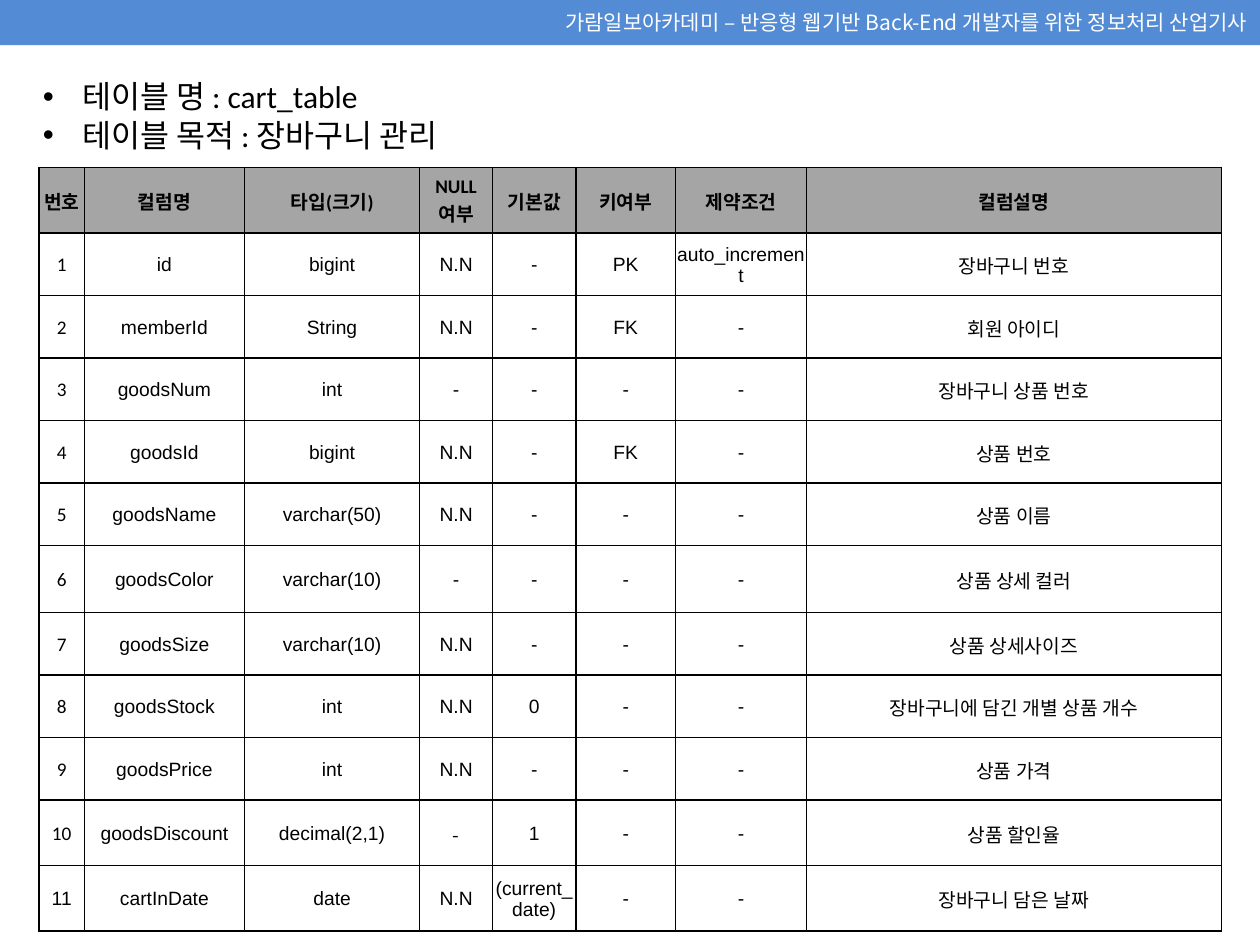
"""Build the column specification slide for cart_table."""
from dataclasses import astuple, dataclass

from lxml.etree import SubElement
from pptx import Presentation
from pptx.dml.color import RGBColor
from pptx.enum.text import MSO_ANCHOR as Anchor, MSO_AUTO_SIZE as AutoSize, PP_ALIGN as Align
from pptx.oxml.ns import qn
from pptx.util import Cm, Pt

LATIN, CELL, KOREAN = "Calibri", "Arial", "Noto Sans CJK KR"
BLACK, WHITE, BLUE, GREY = "000000", "FFFFFF", "538CD5", "A5A5A5"
COLUMN_WIDTHS = (0.91, 3.23, 3.53, 1.47, 1.68, 2.01, 2.64, 8.36)
ROW_HEIGHT = 1.26
SPECIAL_HEIGHTS = {0: 1.32, 6: 1.35, 10: 1.32, 11: 1.32}
SPECIAL_FONTS = {(10, 3): KOREAN, (11, 0): CELL}


@dataclass
class ColumnSpec:
    number: str
    name: str
    type_size: str
    nullable: str
    default: str
    key: str
    constraint: str
    description: str


HEADER = ColumnSpec("번호", "컬럼명", "타입(크기)", "NULL 여부", "기본값", "키여부", "제약조건", "컬럼설명")
COLUMN_SPECS = [
    ColumnSpec("1", "id", "bigint", "N.N", "-", "PK", "auto_increment", "장바구니 번호"),
    ColumnSpec("2", "memberId", "String", "N.N", "-", "FK", "-", "회원 아이디"),
    ColumnSpec("3", "goodsNum", "int", "-", "-", "-", "-", "장바구니 상품 번호"),
    ColumnSpec("4", "goodsId", "bigint", "N.N", "-", "FK", "-", "상품 번호"),
    ColumnSpec("5", "goodsName", "varchar(50)", "N.N", "-", "-", "-", "상품 이름"),
    ColumnSpec("6", "goodsColor", "varchar(10)", "-", "-", "-", "-", "상품 상세 컬러"),
    ColumnSpec("7", "goodsSize", "varchar(10)", "N.N", "-", "-", "-", "상품 상세사이즈"),
    ColumnSpec("8", "goodsStock", "int", "N.N", "0", "-", "-", "장바구니에 담긴 개별 상품 개수"),
    ColumnSpec("9", "goodsPrice", "int", "N.N", "-", "-", "-", "상품 가격"),
    ColumnSpec("10", "goodsDiscount", "decimal(2,1)", "-", "1", "-", "-", "상품 할인율"),
    ColumnSpec("11", "cartInDate", "date", "N.N", "(current_date)", "-", "-", "장바구니 담은 날짜"),
]


def color(hex_code: str) -> RGBColor:
    return RGBColor.from_string(hex_code)


def format_runs(paragraph, size: float, font: str, hex_code: str, bold: bool = False) -> None:
    for run in paragraph.runs:
        run.font.size = Pt(size)
        run.font.name = font
        run.font.bold = bold
        run.font.color.rgb = color(hex_code)
        east_asian = SubElement(run.font._element, qn("a:ea"))
        east_asian.set("typeface", KOREAN)


def place(shape, left: float, top: float, width: float, height: float) -> None:
    shape.left, shape.top, shape.width, shape.height = map(Cm, (left, top, width, height))


def add_banner(banner) -> None:
    place(banner, 0, 0, 25.4, 0.91)
    banner.fill.solid()
    banner.fill.fore_color.rgb = color(BLUE)
    frame = banner.text_frame
    frame.text = "가람일보아카데미 – 반응형 웹기반 Back-End 개발자를 위한 정보처리 산업기사"
    frame.auto_size = AutoSize.NONE
    frame.vertical_anchor = Anchor.MIDDLE
    frame.paragraphs[0].alignment = Align.RIGHT
    format_runs(frame.paragraphs[0], 12, KOREAN, WHITE)


def add_summary(summary) -> None:
    place(summary, 0.61, 1.42, 24.71, 1.8)
    frame = summary.text_frame
    frame.text = "테이블 명 : cart_table\n테이블 목적 : 장바구니 관리"
    frame.auto_size = AutoSize.NONE
    for paragraph in frame.paragraphs:
        paragraph.space_before = Pt(0)
        paragraph.line_spacing = Pt(22)
        properties = paragraph._p.get_or_add_pPr()
        properties.set("marL", str(Cm(0.79)))
        properties.set("indent", str(Cm(-0.79)))
        format_runs(paragraph, 18, LATIN, BLACK)


def add_borders(cell) -> None:
    properties = cell._tc.get_or_add_tcPr()
    for side in ("a:lnL", "a:lnR", "a:lnT", "a:lnB"):
        line = SubElement(properties, qn(side), w=str(Pt(1)))
        SubElement(SubElement(line, qn("a:solidFill")), qn("a:srgbClr"), val=BLACK)


def fill_cell(cell, text: str, font: str, is_header: bool) -> None:
    cell.text = text
    cell.vertical_anchor = Anchor.MIDDLE
    cell.margin_left = cell.margin_right = cell.margin_top = Cm(0.03)
    cell.margin_bottom = 0
    add_borders(cell)
    if is_header:
        cell.fill.solid()
        cell.fill.fore_color.rgb = color(GREY)
    else:
        cell.fill.background()
    paragraph = cell.text_frame.paragraphs[0]
    paragraph.alignment = Align.CENTER
    format_runs(paragraph, 11, font, BLACK, bold=is_header)


def add_spec_table(slide) -> None:
    specs = [HEADER, *COLUMN_SPECS]
    heights = [SPECIAL_HEIGHTS.get(row, ROW_HEIGHT) for row in range(len(specs))]
    spec_table = slide.shapes.add_table(
        len(specs), len(COLUMN_WIDTHS), Cm(0.79), Cm(3.38),
        Cm(sum(COLUMN_WIDTHS)), Cm(sum(heights))).table
    spec_table.first_row = spec_table.horz_banding = False
    for column, width in zip(spec_table.columns, COLUMN_WIDTHS):
        column.width = Cm(width)
    for row, (spec, height) in enumerate(zip(specs, heights)):
        spec_table.rows[row].height = Cm(height)
        for col, text in enumerate(astuple(spec)):
            usual_font = LATIN if row == 0 or col == 0 else CELL
            font = SPECIAL_FONTS.get((row, col), usual_font)
            fill_cell(spec_table.cell(row, col), text, font, row == 0)


def main() -> None:
    deck = Presentation()
    deck.slide_width, deck.slide_height = Cm(25.4), Cm(19.05)
    slide = deck.slides.add_slide(deck.slide_layouts[1])
    add_banner(slide.shapes.title)
    add_summary(slide.placeholders[1])
    add_spec_table(slide)
    deck.save("out.pptx")


if __name__ == "__main__":
    main()
